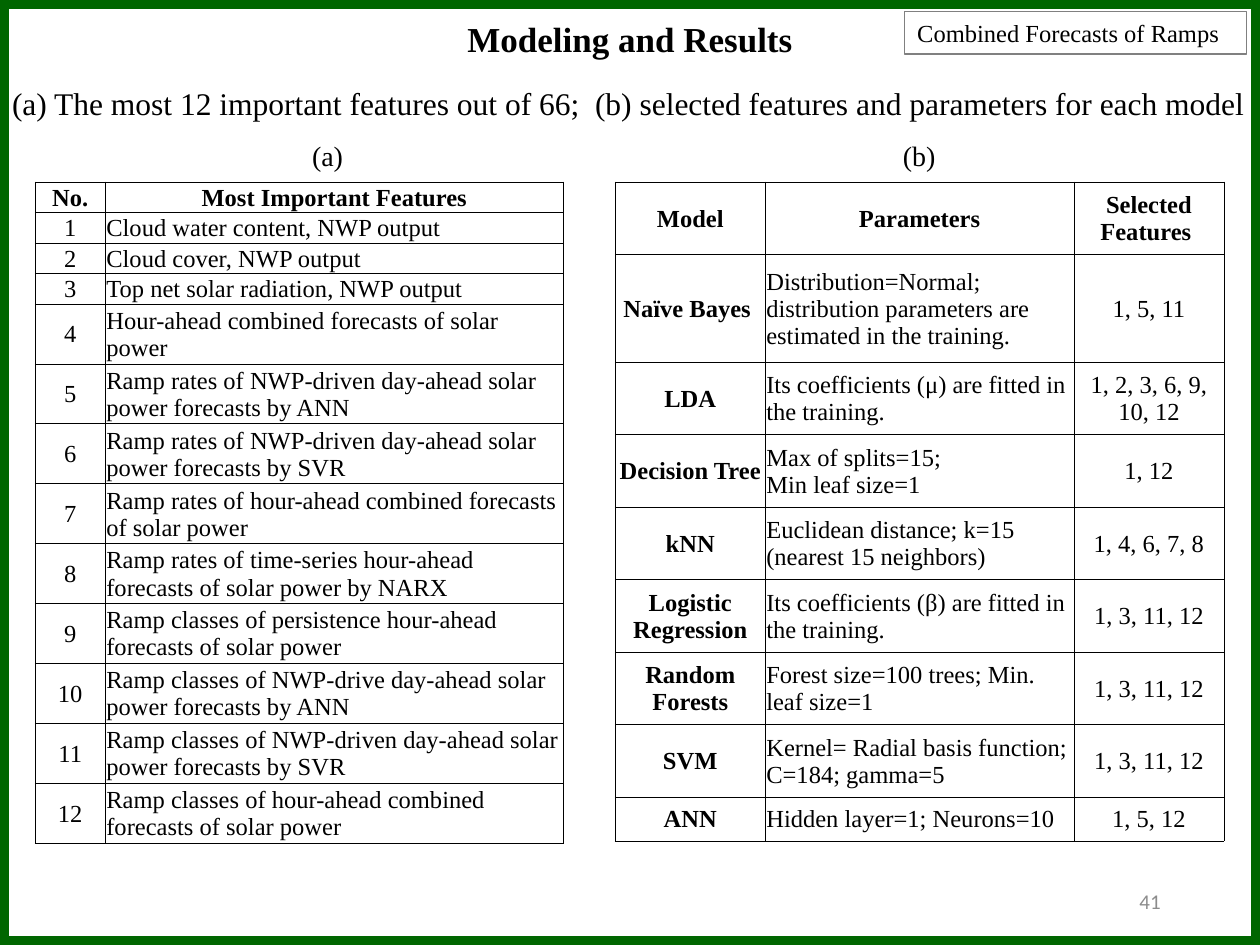
from dataclasses import dataclass

from lxml import etree
from pptx import Presentation
from pptx.dml.color import RGBColor
from pptx.enum.shapes import MSO_SHAPE
from pptx.enum.text import MSO_ANCHOR, PP_ALIGN
from pptx.oxml.ns import qn
from pptx.util import Pt

RECTANGLE = MSO_SHAPE.RECTANGLE
TOP, MIDDLE = MSO_ANCHOR.TOP, MSO_ANCHOR.MIDDLE
LEFT, CENTER, RIGHT = PP_ALIGN.LEFT, PP_ALIGN.CENTER, PP_ALIGN.RIGHT
TITLE_ONLY = 5


@dataclass(frozen=True)
class Theme:
    """Colours, fonts and type sizes of the slide."""
    ink: str = "000000"
    muted: str = "8C8C8C"
    tag_line: str = "808080"
    frame: str = "006600"
    font: str = "Times New Roman"
    number_font: str = "Calibri"
    title: float = 20
    subtitle: float = 18
    label: float = 16
    body: float = 14
    number: float = 12


THEME = Theme()

FEATURES = [
    "Cloud water content, NWP output",
    "Cloud cover, NWP output",
    "Top net solar radiation, NWP output",
    "Hour-ahead combined forecasts of solar power",
    "Ramp rates of NWP-driven day-ahead solar power forecasts by ANN",
    "Ramp rates of NWP-driven day-ahead solar power forecasts by SVR",
    "Ramp rates of hour-ahead combined forecasts of solar power",
    "Ramp rates of time-series hour-ahead forecasts of solar power by NARX",
    "Ramp classes of persistence hour-ahead forecasts of solar power",
    "Ramp classes of NWP-drive day-ahead solar power forecasts by ANN",
    "Ramp classes of NWP-driven day-ahead solar power forecasts by SVR",
    "Ramp classes of hour-ahead combined forecasts of solar power",
]
FEATURE_ROWS = [("No.", "Most Important Features")] + [
    (str(number), feature) for number, feature in enumerate(FEATURES, 1)]

MODEL_ROWS = [
    ("Model", "Parameters", "Selected Features "),
    ("Naïve Bayes ", "Distribution=Normal; distribution parameters are "
     "estimated in the training.", "1, 5, 11"),
    ("LDA", "Its coefficients (μ) are fitted in the training.",
     "1, 2, 3, 6, 9, 10, 12"),
    ("Decision Tree", "Max of splits=15;\vMin leaf size=1", "1, 12"),
    ("kNN", "Euclidean distance; k=15 (nearest 15 neighbors)",
     "1, 4, 6, 7, 8"),
    ("Logistic Regression", "Its coefficients (β) are fitted in the training.",
     "1, 3, 11, 12"),
    ("Random Forests", "Forest size=100 trees; Min. leaf size=1",
     "1, 3, 11, 12"),
    ("SVM", "Kernel= Radial basis function;\vC=184; gamma=5", "1, 3, 11, 12"),
    ("ANN", "Hidden layer=1; Neurons=10", "1, 5, 12"),
]


def write(text_frame, text, size, align=CENTER, bold=False, color=THEME.ink,
          font=THEME.font):
    """Put one formatted paragraph into a text frame."""
    para = text_frame.paragraphs[0]
    para.text = text
    para.alignment = align
    para.font.size = Pt(size)
    para.font.name = font
    para.font.bold = bold
    para.font.color.rgb = RGBColor.from_string(color)


def add_text(page, box, text, size, anchor=TOP, **style):
    """Add a wrapping text box."""
    text_frame = page.shapes.add_textbox(*map(Pt, box)).text_frame
    text_frame.word_wrap = True
    text_frame.vertical_anchor = anchor
    write(text_frame, text, size, **style)


def add_outline(page, box, color, width):
    """Add an unfilled rectangle and return it."""
    shape = page.shapes.add_shape(RECTANGLE, *map(Pt, box))
    shape.shadow.inherit = False
    shape.fill.background()
    shape.line.color.rgb = RGBColor.from_string(color)
    shape.line.width = Pt(width)
    return shape


def add_title(page, box, text):
    """Place and format the title placeholder."""
    title = page.shapes.title
    title.left, title.top, title.width, title.height = map(Pt, box)
    title.text_frame.word_wrap = False
    title.text_frame.vertical_anchor = TOP
    write(title.text_frame, text, THEME.title, bold=True)


def add_tag(page, box, text):
    """Add the outlined topic tag."""
    text_frame = add_outline(page, box, THEME.tag_line, 0.75).text_frame
    text_frame.word_wrap = True
    text_frame.vertical_anchor = TOP
    write(text_frame, text, THEME.body, align=LEFT)


def draw_borders(cell):
    """Draw a thin line on each side of a table cell."""
    properties = cell._tc.get_or_add_tcPr()
    for side in ("lnL", "lnR", "lnT", "lnB"):
        line = etree.SubElement(properties, qn(f"a:{side}"), w=str(Pt(0.5)))
        fill = etree.SubElement(line, qn("a:solidFill"))
        etree.SubElement(fill, qn("a:srgbClr"), val=THEME.ink)


def add_grid(page, box, rows, widths, heights, bold_first=False):
    """Add a bordered table whose second column is left-aligned."""
    table = page.shapes.add_table(len(rows), len(widths), *map(Pt, box)).table
    table.first_row = table.horz_banding = False
    for column, width in zip(table.columns, widths):
        column.width = Pt(width)
    for r, (values, height) in enumerate(zip(rows, heights)):
        table.rows[r].height = Pt(height)
        for c, value in enumerate(values):
            cell = table.cell(r, c)
            cell.margin_left = cell.margin_right = cell.margin_top = Pt(0.6)
            cell.margin_bottom = 0
            cell.vertical_anchor = MIDDLE
            draw_borders(cell)
            cell.fill.background()
            write(cell.text_frame, value, THEME.body,
                  align=LEFT if r and c == 1 else CENTER,
                  bold=r == 0 or (bold_first and c == 0))


def add_panel(page, box, label, label_center, **grid):
    """Add a table with its letter label above it."""
    left, top, width, height = box
    label_width, label_height = 44.4, 26.6
    add_text(page, (label_center - label_width / 2, top, label_width,
                    label_height), label, THEME.label)
    offset = 28.3
    add_grid(page, (left, top + offset, width, height - offset), **grid)


def main():
    """Build the slide and save the deck."""
    deck = Presentation()
    deck.slide_width, deck.slide_height = Pt(720), Pt(540)
    page = deck.slides.add_slide(deck.slide_layouts[TITLE_ONLY])

    add_panel(page, (20.1, 75.7, 301.9, 405.3), "(a)", 187.2,
              rows=FEATURE_ROWS, widths=(40.1, 261.8),
              heights=[17.3] * 4 + [34.2] * 9)
    add_panel(page, (351.6, 75.7, 347.8, 405.3), "(b)", 525.2,
              rows=MODEL_ROWS, widths=(85.7, 176.4, 85.7),
              heights=[41.4, 61.7] + [41.4] * 6 + [25.2], bold_first=True)
    add_text(page, (-12.2, 44.6, 743, 28.8),
             "(a) The most 12 important features out of 66;  "
             "(b) selected features and parameters for each model",
             THEME.subtitle)
    add_text(page, (508.3, 500.4, 162, 28.8), "41", THEME.number,
             anchor=MIDDLE, align=RIGHT, color=THEME.muted,
             font=THEME.number_font)
    add_outline(page, (0, 0, 720, 540), THEME.frame, 10)
    add_tag(page, (517, 6.5, 195.1, 24.5), "Combined Forecasts of Ramps")
    add_title(page, (259.2, 6.5, 201.6, 31.7), "Modeling and Results")

    deck.save("out.pptx")


if __name__ == "__main__":
    main()
